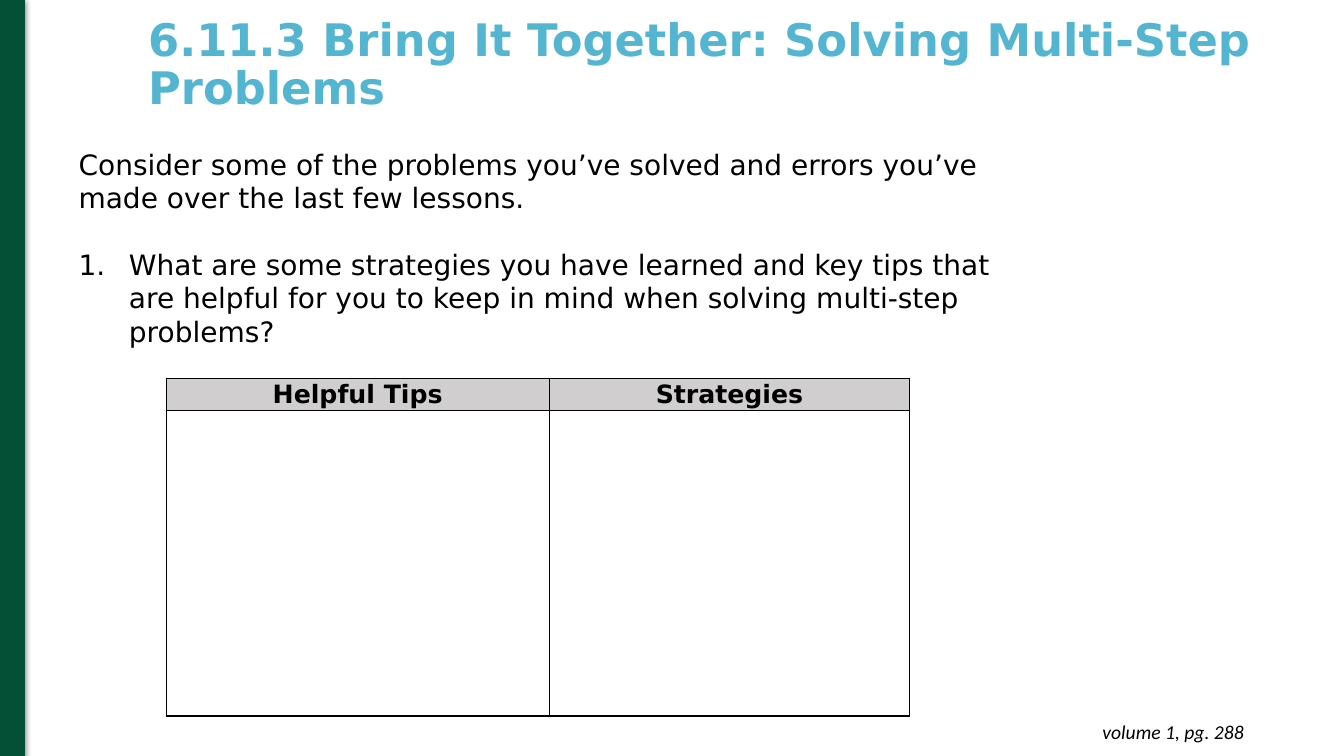
from dataclasses import dataclass

from lxml.etree import SubElement
from pptx import Presentation
from pptx.dml.color import RGBColor
from pptx.enum.shapes import MSO_SHAPE
from pptx.enum.text import MSO_ANCHOR, MSO_AUTO_SIZE, PP_ALIGN
from pptx.oxml.ns import qn
from pptx.util import Cm, Pt


@dataclass(frozen=True)
class Theme:
    green: str = "035036"
    sky: str = "54B5D1"
    grey: str = "D0CECE"
    black: str = "000000"
    sans: str = "DejaVu Sans"
    footer_font: str = "Calibri"
    title_size: int = 32
    body_size: int = 20
    header_size: int = 18
    footer_size: int = 14


THEME = Theme()


def add_solid_fill(parent, color):
    fill = SubElement(parent, qn("a:solidFill"))
    return SubElement(fill, qn("a:srgbClr"), val=color)


def write(paragraph, text, size, color=THEME.black, font=THEME.sans, bold=False,
          italic=False, align=PP_ALIGN.LEFT, line_spacing=None, before=None, after=None):
    paragraph.alignment = align
    paragraph.line_spacing = line_spacing
    if before is not None:
        paragraph.space_before = Pt(before)
    if after is not None:
        paragraph.space_after = Pt(after)
    run = paragraph.add_run()
    run.text = text
    run.font.name = font
    run.font.size = Pt(size)
    run.font.bold = bold
    run.font.italic = italic
    run.font.color.rgb = RGBColor.from_string(color)


def number(paragraph, indent):
    """Number the paragraph with a hanging indent."""
    properties = paragraph._p.get_or_add_pPr()
    properties.set("marL", str(indent))
    properties.set("indent", str(-indent))
    bullet_color = SubElement(properties, qn("a:buClr"))
    SubElement(bullet_color, qn("a:srgbClr"), val=THEME.black)
    SubElement(properties, qn("a:buFont"), typeface=THEME.sans)
    SubElement(properties, qn("a:buAutoNum"), type="arabicPeriod")


def add_text_frame(slide, left, top, width, height):
    frame = slide.shapes.add_textbox(Cm(left), Cm(top), Cm(width), Cm(height)).text_frame
    frame.word_wrap = True
    frame.auto_size = MSO_AUTO_SIZE.SHAPE_TO_FIT_TEXT
    return frame


def add_side_bar(slide):
    bar = slide.shapes.add_shape(MSO_SHAPE.RECTANGLE, Cm(0), Cm(-0.03), Cm(0.61), Cm(19.08))
    bar.fill.solid()
    bar.fill.fore_color.rgb = RGBColor.from_string(THEME.green)
    bar.line.color.rgb = RGBColor.from_string(THEME.green)
    bar.line.width = Pt(0.75)
    bar.shadow.inherit = False
    effects = bar._element.spPr.find(qn("a:effectLst"))
    shadow = SubElement(effects, qn("a:outerShdw"), blurRad=str(Pt(4.5)),
                        dist=str(Pt(1.5)), dir="5400000", rotWithShape="0")
    shadow_color = SubElement(shadow, qn("a:srgbClr"), val=THEME.black)
    SubElement(shadow_color, qn("a:alpha"), val="50000")


def set_title(slide, text):
    title = slide.shapes.title
    title.left, title.top, title.width, title.height = Cm(3.48), Cm(-0.18), Cm(28.96), Cm(3.68)
    frame = title.text_frame
    frame.word_wrap = True
    frame.auto_size = MSO_AUTO_SIZE.NONE
    frame.vertical_anchor = MSO_ANCHOR.MIDDLE
    write(frame.paragraphs[0], text, THEME.title_size, color=THEME.sky, bold=True,
          line_spacing=0.9)


def add_borders(cell):
    properties = cell._tc.get_or_add_tcPr()
    for side in ("a:lnL", "a:lnR", "a:lnT", "a:lnB"):
        add_solid_fill(SubElement(properties, qn(side), w=str(Pt(1))), THEME.black)


def add_answer_table(slide, headers, column_widths, row_heights):
    table = slide.shapes.add_table(
        len(row_heights), len(headers), Cm(4.19), Cm(9.53),
        Cm(sum(column_widths)), Cm(sum(row_heights))).table
    table.first_row = table.horz_banding = False
    for column, width in zip(table.columns, column_widths):
        column.width = Cm(width)
    for row, height in zip(table.rows, row_heights):
        row.height = Cm(height)
    for cell in table.iter_cells():
        add_borders(cell)
        cell.fill.background()
        cell.margin_left = cell.margin_right = Cm(0.18)
        cell.margin_top = cell.margin_bottom = 0
    for cell, header in zip(table.rows[0].cells, headers):
        cell.fill.solid()
        cell.fill.fore_color.rgb = RGBColor.from_string(THEME.grey)
        write(cell.text_frame.paragraphs[0], header, THEME.header_size, bold=True,
              align=PP_ALIGN.CENTER, line_spacing=1.07, after=8)


def add_prompt(slide, introduction, question):
    frame = add_text_frame(slide, 1.73, 3.58, 23.7, 5.38)
    write(frame.paragraphs[0], introduction, THEME.body_size)
    question_paragraph = frame.add_paragraph()
    number(question_paragraph, Cm(1.27))
    write(question_paragraph, question, THEME.body_size, before=23.5)


def add_page_reference(slide, text):
    frame = add_text_frame(slide, 20.32, 17.88, 11.28, 1.12)
    frame.margin_top = frame.margin_bottom = Cm(0.25)
    write(frame.paragraphs[0], text, THEME.footer_size, font=THEME.footer_font,
          italic=True, align=PP_ALIGN.RIGHT)


def main():
    deck = Presentation()
    deck.slide_width, deck.slide_height = Cm(33.87), Cm(19.05)
    slide = deck.slides.add_slide(deck.slide_layouts[5])
    add_side_bar(slide)
    set_title(slide, "6.11.3 Bring It Together: Solving Multi-Step Problems")
    add_prompt(
        slide,
        "Consider some of the problems you’ve solved and errors you’ve made "
        "over the last few lessons.",
        "What are some strategies you have learned and key tips that are helpful "
        "for you to keep in mind when solving multi-step problems?")
    add_page_reference(slide, "volume 1, pg. 288")
    add_answer_table(slide, ("Helpful Tips", "Strategies"), (9.65, 9.09), (0.82, 7.69))
    deck.save("out.pptx")


if __name__ == "__main__":
    main()
